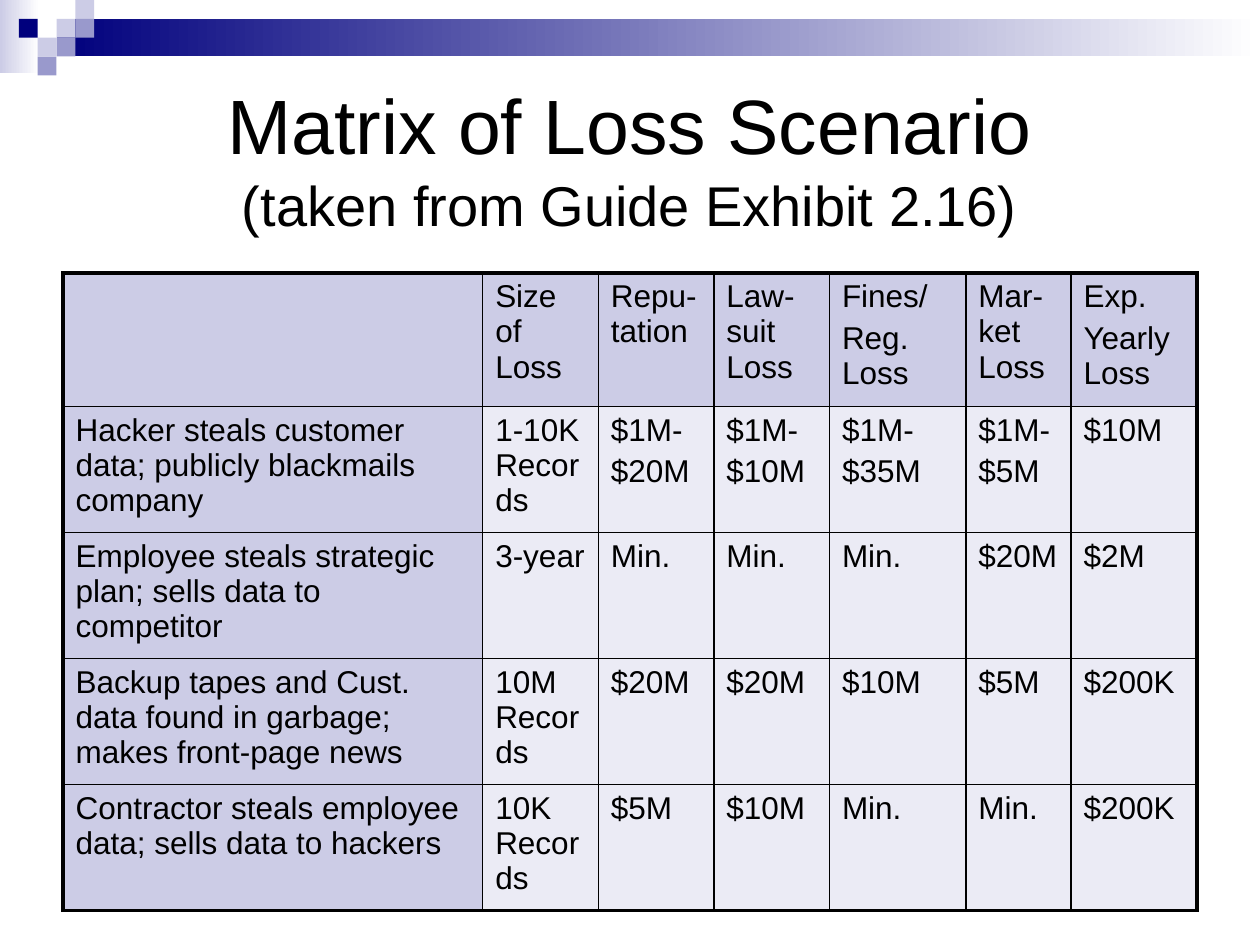
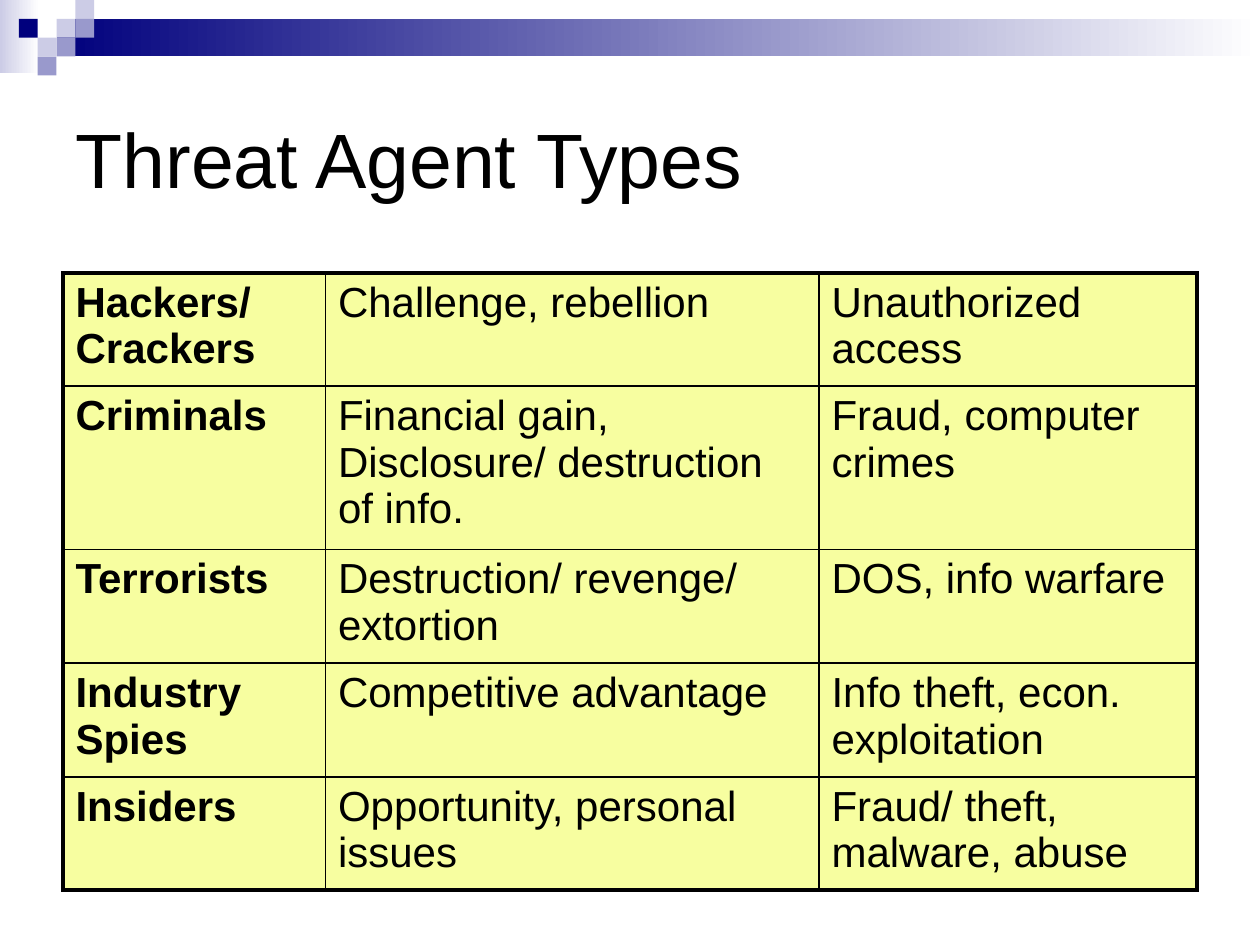
from dataclasses import dataclass

import pptx
import pptx.dml.color
import pptx.enum.shapes
import pptx.enum.text
import pptx.oxml
import pptx.oxml.ns
import pptx.util

Cm = pptx.util.Cm
Pt = pptx.util.Pt
ALIGN = pptx.enum.text.PP_ALIGN


@dataclass(frozen=True)
class Theme:
    font: str = "Arial"
    ink: str = "000000"
    white: str = "FFFFFF"
    navy: str = "00007D"
    violet: str = "9999CC"
    lavender: str = "CCCCE6"
    mist: str = "EBEBF5"
    lemon: str = "F7FEA0"
    title: int = 44
    subtitle: int = 32
    matrix: int = 18
    agents: int = 24
    frame: float = 2.25
    rule: float = 1


THEME = Theme()
TILE = 0.38     # side of a square in the header, cm
MARGIN = 1.27
CONTENT_WIDTH = 22.86
TABLE_TOP = 5.5

# Header squares: column, row, colour
TILES = [
    (3, 1, THEME.lavender), (4, 0, THEME.lavender), (4, 1, THEME.violet),
    (2, 2, THEME.lavender), (1, 1, THEME.navy), (3, 2, THEME.violet),
    (2, 3, THEME.violet),
]

# Each line of a cell is a paragraph
LOSS_COLUMNS = [8.46, 2.33, 2.33, 2.33, 2.75, 2.12, 2.54]
LOSS_HEIGHTS = [2.69, 2.54, 2.54, 2.54, 2.54]
LOSS_ROWS = [
    ["", "Size of Loss", "Repu-tation", "Law-suit Loss", "Fines/\nReg. Loss",
     "Mar-ket Loss", "Exp.\nYearly Loss"],
    ["Hacker steals customer data; publicly blackmails company",
     "1-10K Records", "$1M-\n$20M", "$1M-\n$10M", "$1M-\n$35M", "$1M-\n$5M", "$10M"],
    ["Employee steals strategic plan; sells data to competitor",
     "3-year", "Min.", "Min.", "Min.", "$20M", "$2M"],
    ["Backup tapes and Cust. data found in garbage; makes front-page news",
     "10M Records", "$20M", "$20M", "$10M", "$5M", "$200K"],
    ["Contractor steals employee data; sells data to hackers",
     "10K Records", "$5M", "$10M", "Min.", "Min.", "$200K"],
]

AGENT_COLUMNS = [5.29, 9.95, 7.62]
AGENT_HEIGHTS = [2.28, 3.3, 2.29, 2.29, 2.28]
AGENT_ROWS = [
    ["Hackers/ Crackers", "Challenge, rebellion", "Unauthorized access"],
    ["Criminals", "Financial gain, Disclosure/ destruction of info.",
     "Fraud, computer crimes"],
    ["Terrorists", "Destruction/ revenge/ extortion", "DOS, info warfare"],
    ["Industry Spies", "Competitive advantage", "Info theft, econ. exploitation"],
    ["Insiders", "Opportunity, personal issues", "Fraud/ theft, malware, abuse"],
]


def rgb(value):
    return pptx.dml.color.RGBColor.from_string(value)


def style_span(span, size, bold=False):
    span.font.name = THEME.font
    span.font.size = Pt(size)
    span.font.bold = bold
    span.font.color.rgb = rgb(THEME.ink)


# Shared header band
def add_block(shapes, left, top, width, height, color, fade=False):
    block = shapes.add_shape(pptx.enum.shapes.MSO_SHAPE.RECTANGLE,
                             Cm(left), Cm(top), Cm(width), Cm(height))
    block.shadow.inherit = False
    block.line.fill.background()
    if not fade:
        block.fill.solid()
        block.fill.fore_color.rgb = rgb(color)
        return
    block.fill.gradient()
    block.fill.gradient_angle = 0
    for stop, position, shade in zip(block.fill.gradient_stops, (0, 1),
                                     (color, THEME.white)):
        stop.position = position
        stop.color.rgb = rgb(shade)


def add_header(page, layout):
    """Draw the band as a group and hand it to the layout of all slides."""
    group = page.shapes.add_group_shape()
    add_block(group.shapes, 0, 0, 0.79, 1.47, THEME.lavender, fade=True)
    add_block(group.shapes, 3 * TILE, TILE, 25.4 - 3 * TILE, 2 * TILE,
              THEME.navy, fade=True)
    for column, row, color in TILES:
        add_block(group.shapes, column * TILE, row * TILE, TILE, TILE, color)
    layout.shapes.element.insert(2, group.element)


def set_title(page, lines, align):
    title = page.shapes.title
    title.left, title.top = Cm(MARGIN), Cm(MARGIN)
    title.width, title.height = Cm(CONTENT_WIDTH), Cm(3.81)
    frame = title.text_frame
    frame.text = "\v".join(lines)
    frame.auto_size = pptx.enum.text.MSO_AUTO_SIZE.NONE
    frame.vertical_anchor = pptx.enum.text.MSO_ANCHOR.MIDDLE
    para = frame.paragraphs[0]
    para.alignment = align
    for span, size in zip(para.runs, (THEME.title, THEME.subtitle)):
        style_span(span, size)


# Tables
def add_borders(cell, widths):
    properties = cell._tc.get_or_add_tcPr()
    for side, width in zip("LRTB", widths):
        properties.append(pptx.oxml.parse_xml(
            f'<a:ln{side} {pptx.oxml.ns.nsdecls("a")} w="{Pt(width)}"><a:solidFill>'
            f'<a:srgbClr val="{THEME.ink}"/></a:solidFill></a:ln{side}>'))


def fill_cell(cell, text, size, bold, color):
    cell.fill.solid()
    cell.fill.fore_color.rgb = rgb(color)
    cell.text_frame.text = text
    for para in cell.text_frame.paragraphs:
        para.space_before = Pt(0.2 * size)
        for span in para.runs:
            style_span(span, size, bold)


def add_grid(page, rows, columns, heights, size, color, head_color, bold_names=False):
    table = page.shapes.add_table(
        len(rows), len(columns), Cm(MARGIN), Cm(TABLE_TOP),
        Cm(CONTENT_WIDTH), Cm(sum(heights))).table
    table.first_row = table.horz_banding = False
    for column, width in zip(table.columns, columns):
        column.width = Cm(width)
    for row, height in zip(table.rows, heights):
        row.height = Cm(height)

    last_row, last_column = len(rows) - 1, len(columns) - 1
    for r, texts in enumerate(rows):
        for c, text in enumerate(texts):
            cell = table.cell(r, c)
            outer = (c == 0, c == last_column, r == 0, r == last_row)
            # Borders come before the fill in the cell properties
            add_borders(cell, [THEME.frame if edge else THEME.rule for edge in outer])
            fill_cell(cell, text, size, bold_names and c == 0,
                      head_color if r == 0 or c == 0 else color)


# Slides
def build_loss_matrix(page):
    set_title(page, ["Matrix of Loss Scenario", "(taken from Guide Exhibit 2.16)"],
              ALIGN.CENTER)
    add_grid(page, LOSS_ROWS, LOSS_COLUMNS, LOSS_HEIGHTS, THEME.matrix,
             THEME.mist, THEME.lavender)


def build_threat_agents(page):
    set_title(page, ["Threat Agent Types"], ALIGN.LEFT)
    add_grid(page, AGENT_ROWS, AGENT_COLUMNS, AGENT_HEIGHTS, THEME.agents,
             THEME.lemon, THEME.lemon, bold_names=True)


def main():
    deck = pptx.Presentation()
    deck.slide_width, deck.slide_height = Cm(25.4), Cm(19.05)
    layout = deck.slide_layouts.get_by_name("Title Only")
    loss_page = deck.slides.add_slide(layout)
    add_header(loss_page, layout)
    build_loss_matrix(loss_page)
    build_threat_agents(deck.slides.add_slide(layout))
    deck.save("out.pptx")


main()
